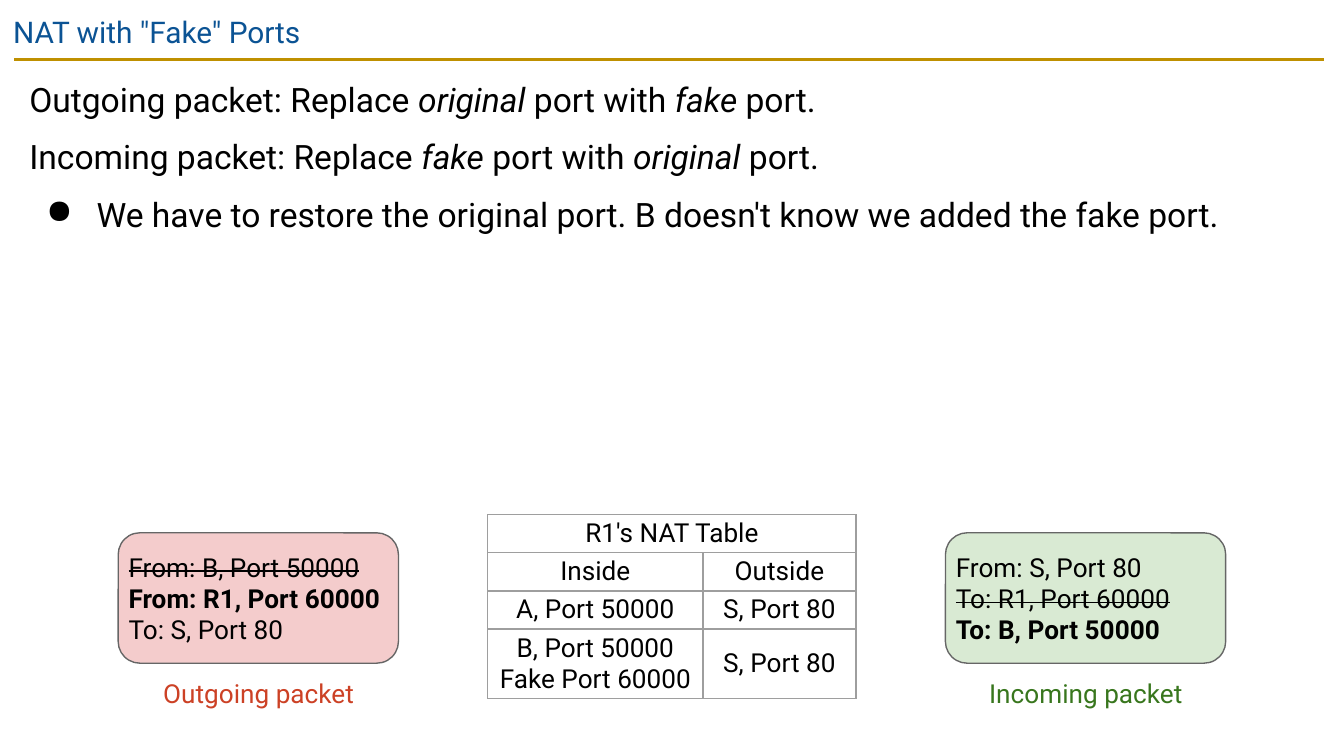
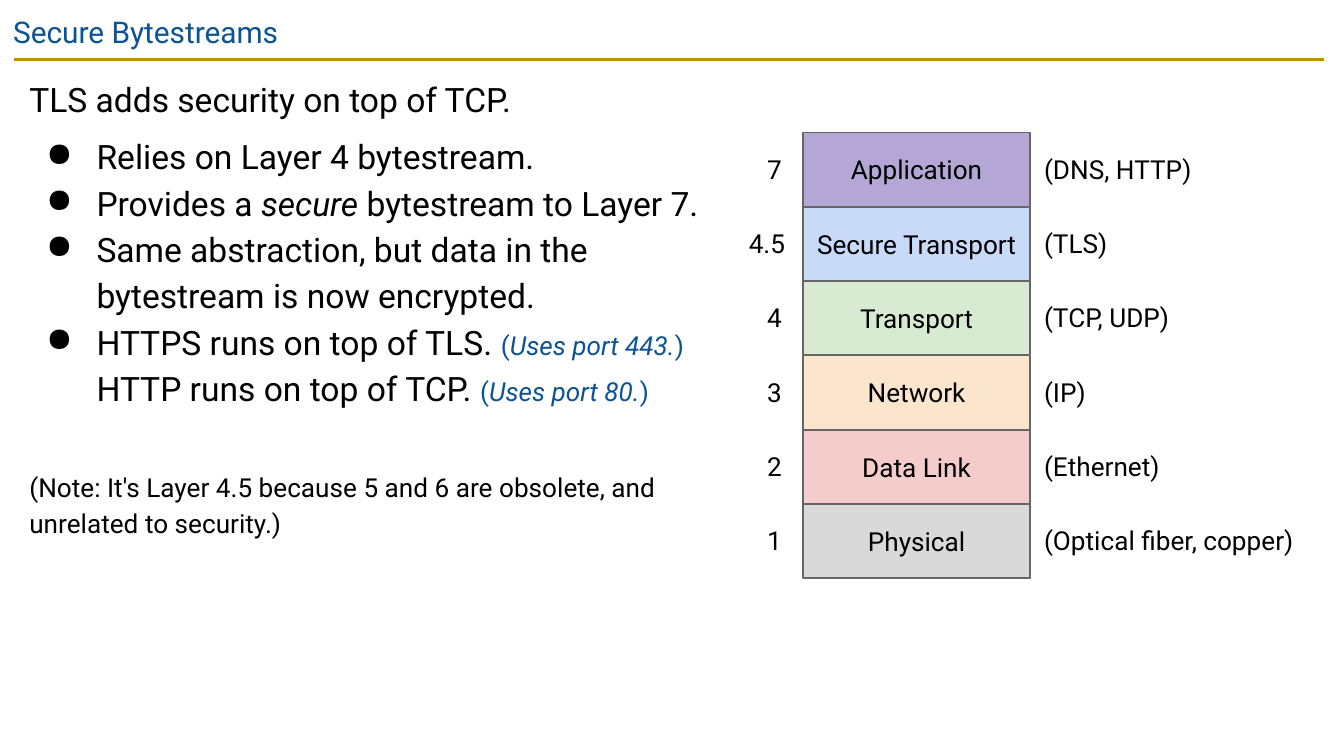
from dataclasses import dataclass

from lxml import etree
from pptx import Presentation
from pptx import util as u
from pptx.dml.color import RGBColor
from pptx.enum import shapes, text
from pptx.oxml.ns import qn

PX = u.Inches(1) // 200  # 200 px to the inch
LEFT, CENTER, RIGHT = text.PP_ALIGN.LEFT, text.PP_ALIGN.CENTER, text.PP_ALIGN.RIGHT
TOP, MIDDLE = text.MSO_ANCHOR.TOP, text.MSO_ANCHOR.MIDDLE


@dataclass(frozen=True)
class Theme:
    font: str = "Roboto"
    title_size: int = 16
    body_size: int = 18
    label_size: int = 14
    ink: str = "000000"
    paper: str = "FFFFFF"
    blue: str = "0B5394"
    gold: str = "BF9000"
    outline: str = "666666"
    grid: str = "9E9E9E"
    purple: str = "B4A7D6"
    sky: str = "C9DAF8"
    green: str = "D9EAD3"
    orange: str = "FCE5CD"
    pink: str = "F4CCCC"
    gray: str = "D9D9D9"
    dark_green: str = "38761D"
    red: str = "CC4125"


T = Theme()


def rgb(color):
    return RGBColor.from_string(color)


def sub(parent, tag, **attrs):
    return etree.SubElement(parent, qn(tag), attrs)


# Inline styles: a paragraph is a list of plain strings and (text, style) pairs
def em(s):
    return s, {"italic": True}


def bold(s):
    return s, {"bold": True}


def struck(s):
    return s, {"strike": True}


def aside(s):
    return [(part, {"size": T.label_size, "color": T.blue, "italic": part == s})
            for part in ("(", s, ")")]


@dataclass
class Para:
    runs: list
    size: int = T.body_size
    bullet: bool = False
    before: float = 6


class Deck:
    def __init__(self, width, height):
        self.prs = Presentation()
        self.prs.slide_width, self.prs.slide_height = width * PX, height * PX
        self.s = None

    # Shared frame: title and rule
    def slide(self, title):
        self.s = self.prs.slides.add_slide(self.prs.slide_layouts[6])
        self.rule(21, 1970, 88)
        self.label(title, 0, 0, 2000, 86, size=T.title_size, color=T.blue)

    def rule(self, x1, x2, y):
        c = self.s.shapes.add_connector(
            shapes.MSO_CONNECTOR.STRAIGHT, x1 * PX, y * PX, x2 * PX, y * PX)
        c.line.color.rgb, c.line.width = rgb(T.gold), u.Pt(1.5)
        sub(c._element.spPr, "a:effectLst")

    # Text
    def font(self, f, size=None, color=None, bold=None, italic=None, strike=False):
        if size:
            f.size = u.Pt(size)
        if color:
            f.color.rgb = rgb(color)
        f.bold, f.italic = bold, italic
        if strike:
            f._element.set("strike", "sngStrike")

    def fill_para(self, p, runs, size, color=T.ink):
        p.font.name = T.font
        self.font(p.font, size, color)
        for item in runs:
            if item == "\n":
                p.add_line_break()
                continue
            words, style = (item, {}) if isinstance(item, str) else item
            r = p.add_run()
            r.text = words
            self.font(r.font, **style)

    def frame(self, tf, inset, anchor=TOP):
        tf.word_wrap, tf.vertical_anchor = True, anchor
        tf.margin_left = tf.margin_right = tf.margin_top = tf.margin_bottom = inset * PX

    def lines(self, tf, rows, align, size=T.label_size, color=T.ink):
        for i, row in enumerate(rows):
            p = tf.add_paragraph() if i else tf.paragraphs[0]
            p.alignment = align
            self.fill_para(p, [row], size, color)

    def text_box(self, x, y, w, h, inset=20):
        tf = self.s.shapes.add_textbox(x * PX, y * PX, w * PX, h * PX).text_frame
        self.frame(tf, inset)
        return tf

    def label(self, words, x, y, w, h, align=LEFT, inset=20, **style):
        self.lines(self.text_box(x, y, w, h, inset), [words], align, **style)

    def body(self, paras, x, y, w, h):
        tf = self.text_box(x, y, w, h)
        for i, para in enumerate(paras):
            p = tf.add_paragraph() if i else tf.paragraphs[0]
            p.line_spacing = 1.15
            p.space_before = u.Pt(para.before if i else 0)
            if para.bullet:
                pPr = p._p.get_or_add_pPr()
                pPr.set("marL", str(100 * PX))
                pPr.set("indent", str(-75 * PX))
                sub(sub(pPr, "a:buClr"), "a:srgbClr", val=T.ink)
                sub(pPr, "a:buChar", char="●")
            self.fill_para(p, para.runs, para.size)

    # Filled shapes
    def box(self, rows, fill, x, y, w, h, rounded=False, align=CENTER, inset=0):
        kind = shapes.MSO_SHAPE.ROUNDED_RECTANGLE if rounded else shapes.MSO_SHAPE.RECTANGLE
        sp = self.s.shapes.add_shape(kind, x * PX, y * PX, w * PX, h * PX)
        sp.shadow.inherit = False
        sp.fill.solid()
        sp.fill.fore_color.rgb = rgb(fill)
        sp.line.color.rgb, sp.line.width = rgb(T.outline), u.Pt(0.75)
        self.frame(sp.text_frame, inset, MIDDLE)
        self.lines(sp.text_frame, rows, align)

    # Table with a title row across all columns; rows grow to fit their text
    def table(self, title, rows, x, y, col_widths, row_height):
        cells = [[title] + [""] * (len(col_widths) - 1)] + rows
        tbl = self.s.shapes.add_table(
            len(cells), len(col_widths), x * PX, y * PX,
            sum(col_widths) * PX, len(cells) * row_height * PX).table
        tbl.first_row = tbl.horz_banding = False
        for col, w in zip(tbl.columns, col_widths):
            col.width = w * PX
        for row, values in zip(tbl.rows, cells):
            row.height = row_height * PX
            for cell, value in zip(row.cells, values):
                self.cell(cell, value)
        tbl.cell(0, 0).merge(tbl.cell(0, len(col_widths) - 1))

    def cell(self, cell, value):
        tcPr = cell._tc.get_or_add_tcPr()
        for side in "LRTB":
            ln = sub(tcPr, f"a:ln{side}", w=str(u.Pt(0.75)))
            sub(sub(ln, "a:solidFill"), "a:srgbClr", val=T.grid)
        cell.fill.solid()
        cell.fill.fore_color.rgb = rgb(T.paper)
        cell.vertical_anchor = MIDDLE
        cell.margin_left = cell.margin_right = cell.margin_top = cell.margin_bottom = 5 * PX
        if value:
            self.lines(cell.text_frame, value.split("\n"), CENTER)


def nat_slide(d):
    d.slide('NAT with "Fake" Ports')
    d.body([
        Para(["Outgoing packet: Replace ", em("original"), " port with ", em("fake"), " port."]),
        Para(["Incoming packet: Replace ", em("fake"), " port with ", em("original"), " port."]),
        Para(["We have to restore the original port. B doesn't know we added the fake port."],
             bullet=True),
    ], 24, 88, 1948, 520)

    d.table("R1's NAT Table", [
        ["Inside", "Outside"],
        ["A, Port 50000", "S, Port 80"],
        ["B, Port 50000\nFake Port 60000", "S, Port 80"],
    ], 726, 766, [320, 228], 54)

    # Packets with their captions
    packets = [
        (176, "Outgoing packet", T.pink, T.red,
         [struck("From: B, Port 50000"), bold("From: R1, Port 60000"), "To: S, Port 80"]),
        (1407, "Incoming packet", T.green, T.dark_green,
         ["From: S, Port 80", struck("To: R1, Port 60000"), bold("To: B, Port 50000")]),
    ]
    for x, caption, fill, color, rows in packets:
        d.box(rows, fill, x, 793, 417, 194, rounded=True, align=LEFT, inset=6)
        d.label(caption, x + 13, 1002, 392, 60, CENTER, inset=6, color=color)


def tls_slide(d):
    d.slide("Secure Bytestreams")
    d.body([
        Para(["TLS adds security on top of TCP."]),
        Para(["Relies on Layer 4 bytestream."], bullet=True),
        Para(["Provides a ", em("secure"), " bytestream to Layer 7."], bullet=True, before=0),
        Para(["Same abstraction, but data in the bytestream is now encrypted."],
             bullet=True, before=0),
        Para(["HTTPS runs on top of TLS. ", *aside("Uses port 443."), "\n",
              "HTTP runs on top of TCP. ", *aside("Uses port 80.")], bullet=True, before=0),
        Para(["(Note: It's Layer 4.5 because 5 and 6 are obsolete, and unrelated to security.)"],
             size=T.label_size, before=31.5),
    ], 24, 88, 1054, 990)

    # Layer stack: number, name, examples
    layers = [
        ("7", "Application", "(DNS, HTTP)", T.purple),
        ("4.5", "Secure Transport", "(TLS)", T.sky),
        ("4", "Transport", "(TCP, UDP)", T.green),
        ("3", "Network", "(IP)", T.orange),
        ("2", "Data Link", "(Ethernet)", T.pink),
        ("1", "Physical", "(Optical fiber, copper)", T.gray),
    ]
    top, stack_height = 197, 664
    for i, (number, name, examples, fill) in enumerate(layers):
        y = top + round(i * stack_height / len(layers))
        width, align = (102, RIGHT) if "." in number else (66, LEFT)
        d.box([name], fill, 1195, y, 338, 110)
        d.label(number, 1188 - width, y + 11, width, 88, align)
        d.label(examples, 1534, y + 11, 426, 88)


def main():
    d = Deck(2000, 1125)
    nat_slide(d)
    tls_slide(d)
    d.prs.save("out.pptx")


if __name__ == "__main__":
    main()
